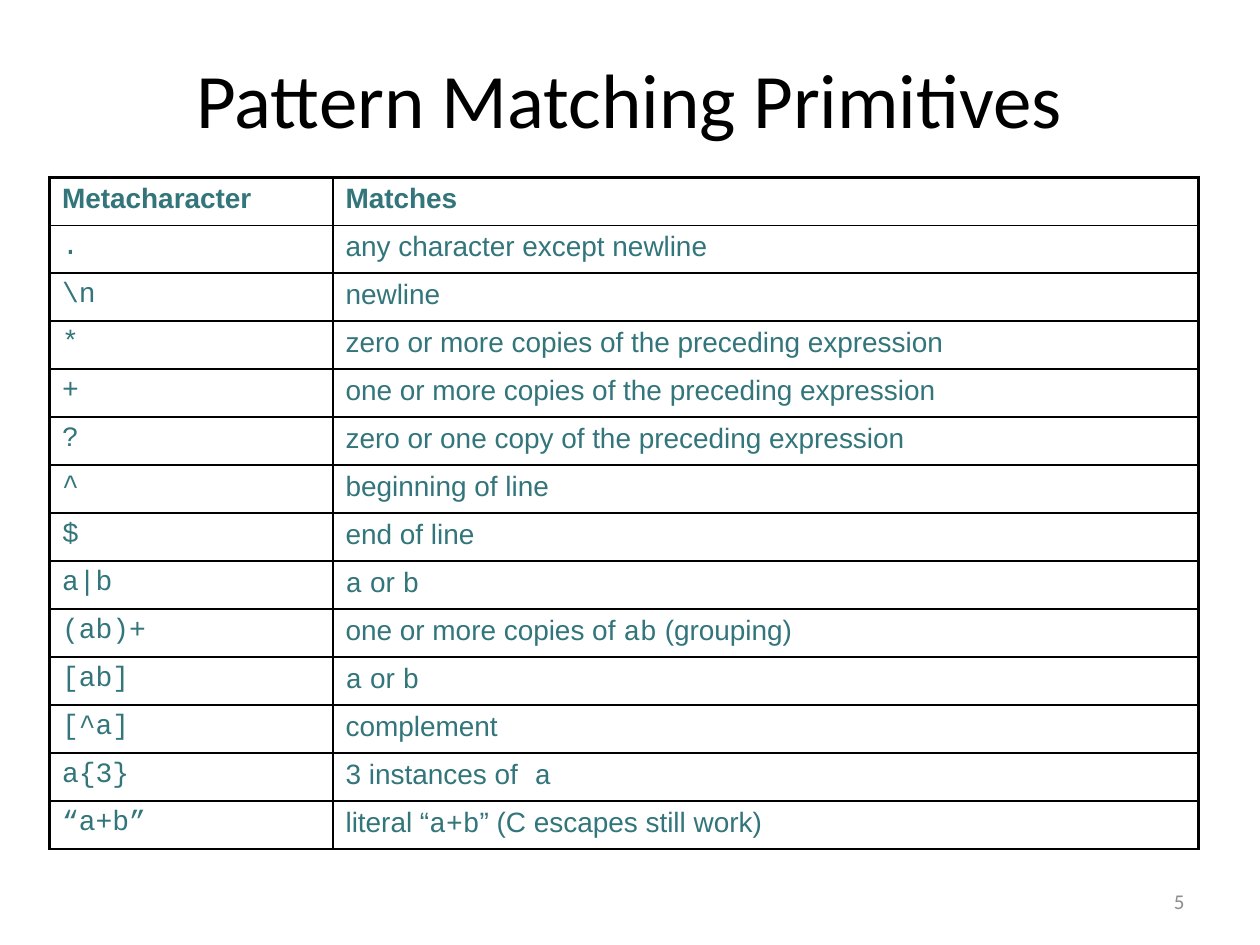
from dataclasses import dataclass

from lxml import etree
from pptx import Presentation
from pptx import util as u
from pptx.dml import color
from pptx.enum import text
from pptx.oxml import ns


@dataclass(frozen=True)
class Theme:
    ink: str = "000000"
    paper: str = "FFFFFF"
    teal: str = "32757A"
    grey: str = "8C8C8C"
    title_size: float = 44
    table_size: float = 16
    number_size: float = 12
    heading_font: str = "Calibri"
    body_font: str = "Arial"
    code_font: str = "Courier New"
    frame: float = 2.25
    rule: float = 1


class SlideBuilder:
    def __init__(self, slide, theme):
        self.slide = slide
        self.theme = theme

    def run(self, paragraph, content, font, size, ink, bold=False):
        run = paragraph.add_run()
        run.text = content
        run.font.name = font
        run.font.size = u.Pt(size)
        run.font.bold = bold
        run.font.color.rgb = color.RGBColor.from_string(ink)

    def label(self, content, left, top, width, height, size, ink, align):
        shape = self.slide.shapes.add_textbox(
            u.Pt(left), u.Pt(top), u.Pt(width), u.Pt(height))
        frame = shape.text_frame
        frame.word_wrap = True
        frame.vertical_anchor = text.MSO_ANCHOR.MIDDLE
        paragraph = frame.paragraphs[0]
        paragraph.alignment = align
        self.run(paragraph, content, self.theme.heading_font, size, ink)

    def border(self, cell, side, width):
        properties = cell._tc.get_or_add_tcPr()
        line = etree.Element(ns.qn("a:ln" + side), w=str(u.Pt(width)))
        fill = etree.SubElement(line, ns.qn("a:solidFill"))
        etree.SubElement(fill, ns.qn("a:srgbClr"), val=self.theme.ink)
        properties.insert("LRTB".index(side), line)

    def cell(self, cell, runs, bold, borders):
        paragraph = cell.text_frame.paragraphs[0]
        for content, font in runs:
            self.run(paragraph, content, font, self.theme.table_size,
                     self.theme.teal, bold)
        cell.fill.solid()
        cell.fill.fore_color.rgb = color.RGBColor.from_string(self.theme.paper)
        for side, width in zip("LRTB", borders):
            self.border(cell, side, width)

    def table(self, rows, left, top, column_widths, row_height):
        table = self.slide.shapes.add_table(
            len(rows), len(column_widths), u.Pt(left), u.Pt(top),
            u.Pt(sum(column_widths)), u.Pt(row_height * len(rows))).table
        for column, width in zip(table.columns, column_widths):
            column.width = u.Pt(width)
        frame, rule = self.theme.frame, self.theme.rule
        last = len(column_widths) - 1
        for i, row in enumerate(rows):
            table.rows[i].height = u.Pt(row_height)
            for j, runs in enumerate(row):
                borders = (frame if j == 0 else rule,
                           frame if j == last else rule,
                           frame if i == 0 else rule,
                           rule)
                self.cell(table.cell(i, j), runs, i == 0, borders)


theme = Theme()


def plain(content):
    return content, theme.body_font


def code(content):
    return content, theme.code_font


either = [code("a"), plain(" or "), code("b")]
primitives = [
    (".", [plain("any character except newline")]),
    ("\\n", [plain("newline")]),
    ("*", [plain("zero or more copies of the preceding expression")]),
    ("+", [plain("one or more copies of the preceding expression")]),
    ("?", [plain("zero or one copy of the preceding expression")]),
    ("^", [plain("beginning of line")]),
    ("$", [plain("end of line")]),
    ("a|b", either),
    ("(ab)+", [plain("one or more copies of "), code("ab"), plain(" (grouping)")]),
    ("[ab]", either),
    ("[^a]", [plain("complement")]),
    ("a{3}", [plain("3 instances of"), code(" a")]),
    ("“a+b”", [plain("literal “"), code("a+b"),
               plain("” (C escapes still work)")]),
]
header = [[plain("Metacharacter")], [plain("Matches")]]
rows = [header] + [[[code(symbol)], meaning] for symbol, meaning in primitives]

presentation = Presentation()
presentation.slide_width = u.Pt(720)
presentation.slide_height = u.Pt(540)
slide = presentation.slides.add_slide(presentation.slide_layouts[6])
builder = SlideBuilder(slide, theme)
builder.label("Pattern Matching Primitives", 36, 21.6, 648, 68.4,
              theme.title_size, theme.ink, text.PP_ALIGN.CENTER)
builder.table(rows, 28.3, 101.3, [162, 494.6], 27.43)
builder.label("5", 516, 500.5, 168, 28.75,
              theme.number_size, theme.grey, text.PP_ALIGN.RIGHT)
presentation.save("out.pptx")
